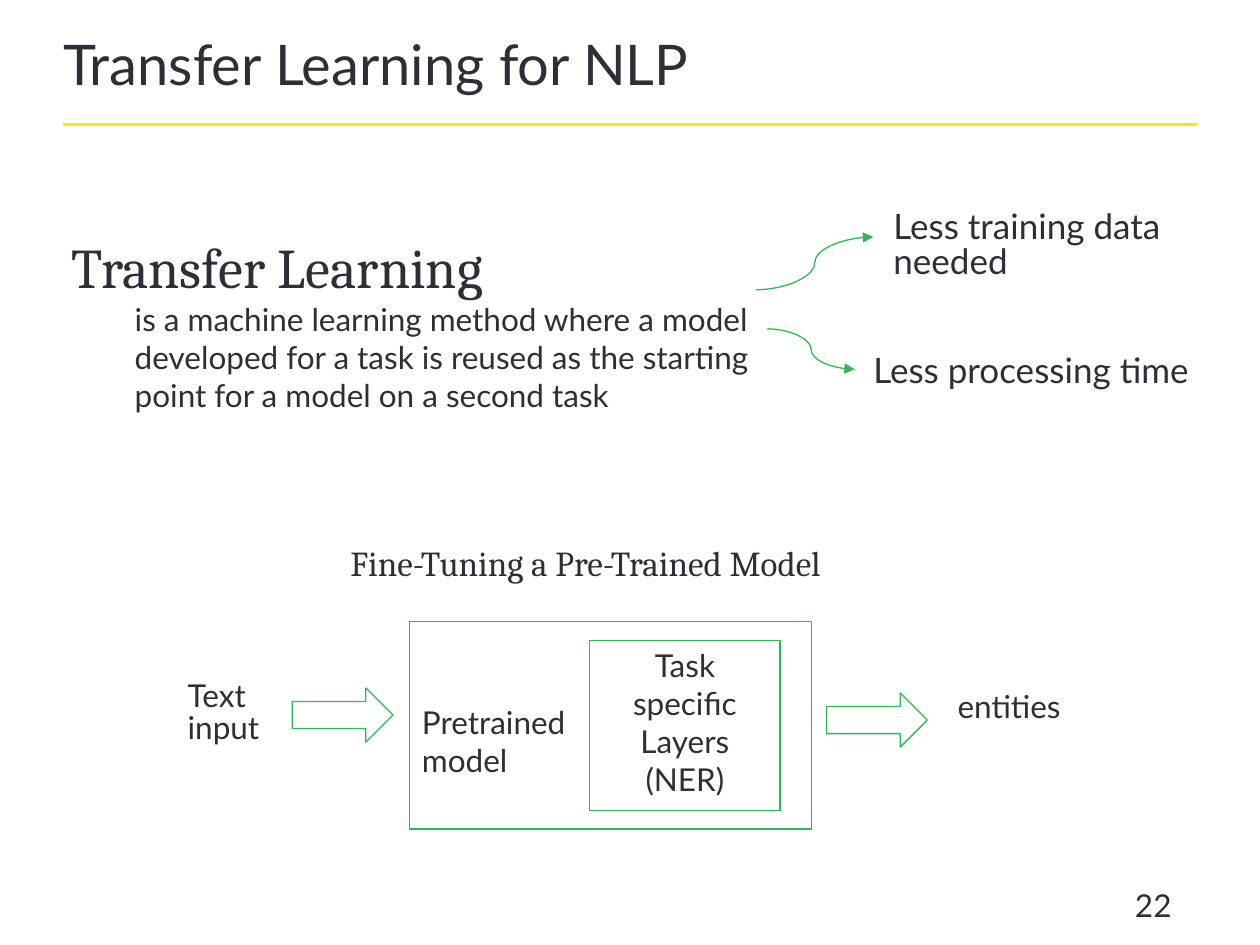
import pptx
import pptx.util
import pptx.dml.color
import pptx.enum.shapes
import pptx.enum.text
import pptx.oxml.xmlchemy
from dataclasses import dataclass

Pt = pptx.util.Pt
Shapes = pptx.enum.shapes.MSO_SHAPE
Lines = pptx.enum.shapes.MSO_CONNECTOR
Anchor = pptx.enum.text.MSO_ANCHOR
Align = pptx.enum.text.PP_ALIGN
rgb = pptx.dml.color.RGBColor.from_string
new_element = pptx.oxml.xmlchemy.OxmlElement


@dataclass(frozen=True)
class Theme:
    ink: object = rgb("2E2E38")
    green: object = rgb("2DB757")
    yellow: object = rgb("FFE600")
    sans: str = "Lato"
    serif: str = "Cambria"
    heading: int = 32
    lead: int = 20
    body: int = 18
    tight: float = 0.85
    outline: float = 0.75
    rule: float = 1.5


theme = Theme()

TITLE = "Transfer Learning for NLP"
TITLE_BOX = (36, 23, 648, 46.8)
RULE = (36, 71.3, 684, 71.3)
TERM = "Transfer Learning"
DEFINITION = ("is a machine learning method where a model developed for a task "
              "is reused as the starting point for a model on a second task")
DEFINITION_BOX = (41, 139, 388, 27.4)
DEFINITION_INDENT = 36
DIAGRAM_TITLE = "Fine-Tuning a Pre-Trained Model"
DIAGRAM_TITLE_BOX = (200.2, 313.2, 321, 39.6)
LABELS = [
    ("Less training data needed", (510.5, 117.4, 215.3, 43.9), theme.lead),
    ("Less processing time", (499, 200.2, 215.3, 23.8), theme.lead),
    ("Text input", (107.3, 386.6, 46.1, 40.3), theme.body),
    ("entities", (547.2, 393.1, 64.8, 21.6), theme.body),
]
BENEFIT_CURVES = [(432, 165.6, 499, 135.4), (438.5, 187.9, 488.5, 211)]
MODEL_BOXES = [
    ("Pretrained\nmodel", (234, 355, 229.7, 118.8), Align.LEFT, 46.8),
    ("Task specific Layers (NER)", (337, 365.8, 108.7, 97.2), Align.CENTER, 3.6),
]
FLOW_ARROWS = [(167, 393.1), (472.3, 396)]
FLOW_ARROW_SIZE = (57.6, 31)
PAGE = "22"
PAGE_BOX = (641.5, 509.8, 52.6, 14.4)


def points(values):
    return [Pt(value) for value in values]


def style(paragraph, size, font=theme.sans, spacing=1.0, after=0, align=Align.LEFT):
    paragraph.alignment = align
    paragraph.line_spacing = spacing
    paragraph.space_before = Pt(0)
    paragraph.space_after = Pt(after)
    for run in paragraph.runs:
        run.font.name = font
        run.font.size = Pt(size)
        run.font.color.rgb = theme.ink


def set_frame(frame, insets=(0, 0, 0, 0), anchor=Anchor.TOP):
    frame.word_wrap = True
    frame.auto_size = pptx.enum.text.MSO_AUTO_SIZE.NONE
    frame.vertical_anchor = anchor
    (frame.margin_left, frame.margin_top,
     frame.margin_right, frame.margin_bottom) = points(insets)


def place(placeholder, box):
    placeholder.left, placeholder.top, placeholder.width, placeholder.height = points(box)
    set_frame(placeholder.text_frame)
    return placeholder.text_frame


def add_text(slide, text, box, size, insets=(0, 0, 0, 0), anchor=Anchor.TOP, **look):
    frame = slide.shapes.add_textbox(*points(box)).text_frame
    set_frame(frame, insets, anchor)
    frame.text = text
    style(frame.paragraphs[0], size, **look)


def add_outline(slide, preset, box):
    outline = slide.shapes.add_shape(preset, *points(box))
    outline.shadow.inherit = False
    outline.fill.background()
    outline.line.color.rgb = theme.green
    outline.line.width = Pt(theme.outline)
    return outline


def add_line(slide, preset, ends, color, width, arrow=False):
    line = slide.shapes.add_connector(preset, *points(ends))
    line.line.color.rgb = color
    line.line.width = Pt(width)
    properties = line._element.spPr
    if arrow:
        tail = new_element("a:tailEnd")
        tail.set("type", "triangle")
        properties.get_or_add_ln().append(tail)
    properties.append(new_element("a:effectLst"))


def add_definition(placeholder):
    frame = place(placeholder, DEFINITION_BOX)
    frame.text = TERM + "\n" + DEFINITION
    term, definition = frame.paragraphs
    definition.level = 1
    for paragraph, indent in ((term, 0), (definition, DEFINITION_INDENT)):
        properties = paragraph._p.get_or_add_pPr()
        properties.set("marL", str(Pt(indent)))
        properties.set("indent", "0")
        properties.append(new_element("a:buNone"))
    style(term, theme.heading, theme.serif, theme.tight)
    style(definition, theme.body)


def main():
    deck = pptx.Presentation()
    deck.slide_width, deck.slide_height = Pt(720), Pt(540)
    slide = deck.slides.add_slide(deck.slide_layouts[1])

    title = place(slide.shapes.title, TITLE_BOX)
    title.text = TITLE
    style(title.paragraphs[0], theme.heading, spacing=theme.tight)
    add_line(slide, Lines.STRAIGHT, RULE, theme.yellow, theme.rule)
    add_definition(slide.placeholders[1])
    add_text(slide, DIAGRAM_TITLE, DIAGRAM_TITLE_BOX, theme.lead,
             font=theme.serif, spacing=theme.tight)

    for text, box, align, top_inset in MODEL_BOXES:
        frame = add_outline(slide, Shapes.RECTANGLE, box).text_frame
        set_frame(frame, (7.2, top_inset, 7.2, 3.6))
        frame.text = text
        for paragraph in frame.paragraphs:
            style(paragraph, theme.body, align=align)

    for corner in FLOW_ARROWS:
        add_outline(slide, Shapes.RIGHT_ARROW, corner + FLOW_ARROW_SIZE)
    for text, box, size in LABELS:
        add_text(slide, text, box, size, insets=(0, 2.9, 0, 0),
                 spacing=theme.tight, after=6)
    for ends in BENEFIT_CURVES:
        add_line(slide, Lines.CURVE, ends, theme.green, theme.outline, arrow=True)
    add_text(slide, PAGE, PAGE_BOX, theme.body, (7.2, 3.6, 7.2, 3.6), Anchor.MIDDLE)

    deck.save("out.pptx")


if __name__ == "__main__":
    main()
